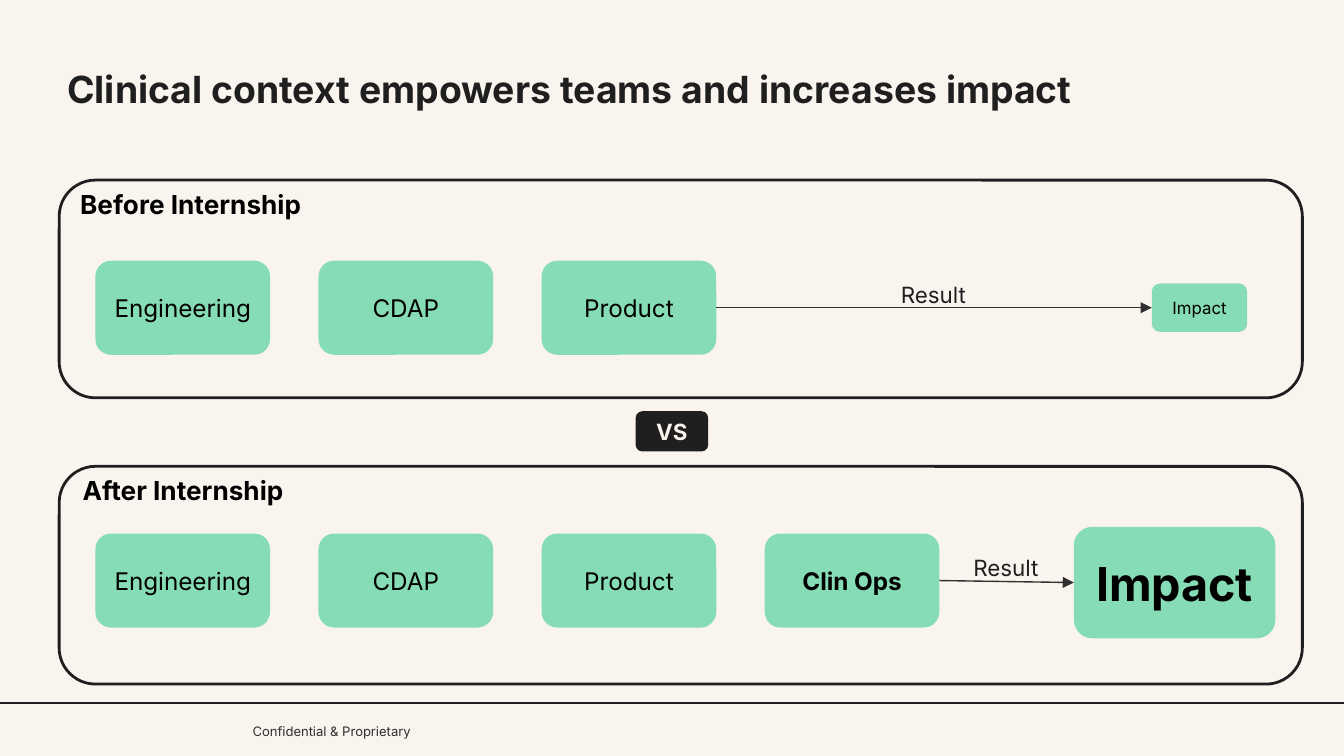
"""Build the slide that compares team impact before and after the internship."""
from dataclasses import dataclass

from lxml import etree
from pptx import Presentation
from pptx import util as u
from pptx.dml import color as hue
from pptx.enum import shapes, text
from pptx.oxml import ns

PX = 9144
MID, LEFT = text.PP_ALIGN.CENTER, text.PP_ALIGN.LEFT


@dataclass(frozen=True)
class Theme:
    font: str = "Inter"
    paper: str = "FAF4EE"
    ink: str = "1F1F1F"
    gray: str = "303030"
    black: str = "000000"
    green: str = "14C57C"
    tiny: int = 7
    small: int = 9
    note: int = 12
    body: int = 13
    head: int = 14
    title: int = 20
    huge: int = 25


def rgb(code):
    return hue.RGBColor.from_string(code)


def px(*vals):
    return [u.Emu(val * PX) for val in vals]


class Deck:
    def __init__(self, theme):
        self.theme = theme
        self.prs = Presentation()
        self.prs.slide_width = u.Inches(10)
        self.prs.slide_height = u.Inches(5.625)
        self.slide = self.prs.slides.add_slide(self.prs.slide_layouts[5])
        back = self.slide.background.fill
        back.solid()
        back.fore_color.rgb = rgb(theme.paper)

    def put(self, shape, words, size, color, bold=False, align=MID,
            anchor=text.MSO_ANCHOR.MIDDLE, inset=10):
        frame = shape.text_frame
        pad = px(inset)[0]
        form = {"word_wrap": True, "auto_size": text.MSO_AUTO_SIZE.NONE,
                "vertical_anchor": anchor, "margin_left": pad,
                "margin_right": pad, "margin_top": pad, "margin_bottom": pad}
        for key, val in form.items():
            setattr(frame, key, val)
        para = frame.paragraphs[0]
        para.alignment = align
        run = para.add_run()
        run.text = words
        for key, val in {"name": self.theme.font, "size": u.Pt(size), "bold": bold}.items():
            setattr(run.font, key, val)
        run.font.color.rgb = rgb(color)

    def title(self, words, box):
        shape = self.slide.shapes.title
        for key, val in zip(("left", "top", "width", "height"), px(*box)):
            setattr(shape, key, val)
        self.put(shape, words, self.theme.title, self.theme.ink, True, LEFT,
                 text.MSO_ANCHOR.TOP, 0)

    def label(self, words, box, size, color, **form):
        self.put(self.slide.shapes.add_textbox(*px(*box)), words, size, color, **form)

    def round(self, box, fill=None, line=None, alpha=None):
        shape = self.slide.shapes.add_shape(shapes.MSO_SHAPE.ROUNDED_RECTANGLE, *px(*box))
        shape.shadow.inherit = False
        if fill:
            shape.fill.solid()
            shape.fill.fore_color.rgb = rgb(fill)
        else:
            shape.fill.background()
        if alpha:
            tint = shape._element.spPr.find(ns.qn("a:solidFill"))[0]
            etree.SubElement(tint, ns.qn("a:alpha"), val=str(alpha * 1000))
        if line:
            shape.line.color.rgb = rgb(line)
            shape.line.width = u.Pt(1.5)
        else:
            shape.line.fill.background()
        return shape

    def card(self, words, box, size, bold=False):
        shape = self.round(box, self.theme.green, alpha=50)
        self.put(shape, words, size, self.theme.black, bold)
        return shape

    def panel(self, words, top, left, align):
        self.round((44, top, 925, 162), line=self.theme.ink)
        head = self.round((left, top, 196, 36))
        self.put(head, words, self.theme.head, self.theme.black, True, align)

    def rule(self, ends, color):
        line = self.slide.shapes.add_connector(shapes.MSO_CONNECTOR.STRAIGHT, *px(*ends))
        line.line.color.rgb = rgb(color)
        line.line.width = u.Pt(0.75)
        etree.SubElement(line._element.spPr, ns.qn("a:effectLst"))
        return line

    def arrow(self, start, end):
        line = self.rule((0, 0, 0, 0), self.theme.gray)
        line.begin_connect(start, 3)
        line.end_connect(end, 1)
        edge = line._element.spPr.find(ns.qn("a:ln"))
        etree.SubElement(edge, ns.qn("a:tailEnd"), type="triangle")

    def flow(self, teams, top, goal, size, strong, note):
        for step, team in enumerate(teams):
            last = self.card(team, (71 + 166 * step, top, 130, 70), self.theme.body,
                             team == "Clin Ops")
        self.arrow(last, self.card("Impact", goal, size, strong))
        self.label("Result", (note, top + 5, 111, 30), self.theme.note, self.theme.ink,
                   anchor=text.MSO_ANCHOR.TOP)


def main():
    look = Theme()
    deck = Deck(look)
    deck.label("Confidential & Proprietary", (188, 524, 138, 40), look.tiny, look.gray,
               align=LEFT, inset=0)
    deck.rule((-1, 523, 1002, 523), look.ink)
    deck.title("Clinical context empowers teams and increases impact", (50, 49, 950, 63))
    deck.panel("Before Internship", 134, 44, MID)
    deck.panel("After Internship", 347, 50, LEFT)
    deck.put(deck.round((473, 306, 54, 30), look.ink), "VS", look.note, look.paper, True)
    teams = ["Engineering", "CDAP", "Product"]
    deck.flow(teams, 194, (857, 211, 71, 36), look.small, False, 639)
    deck.flow(teams + ["Clin Ops"], 397, (799, 392, 150, 83), look.huge, True, 693)
    deck.prs.save("out.pptx")


if __name__ == "__main__":
    main()
